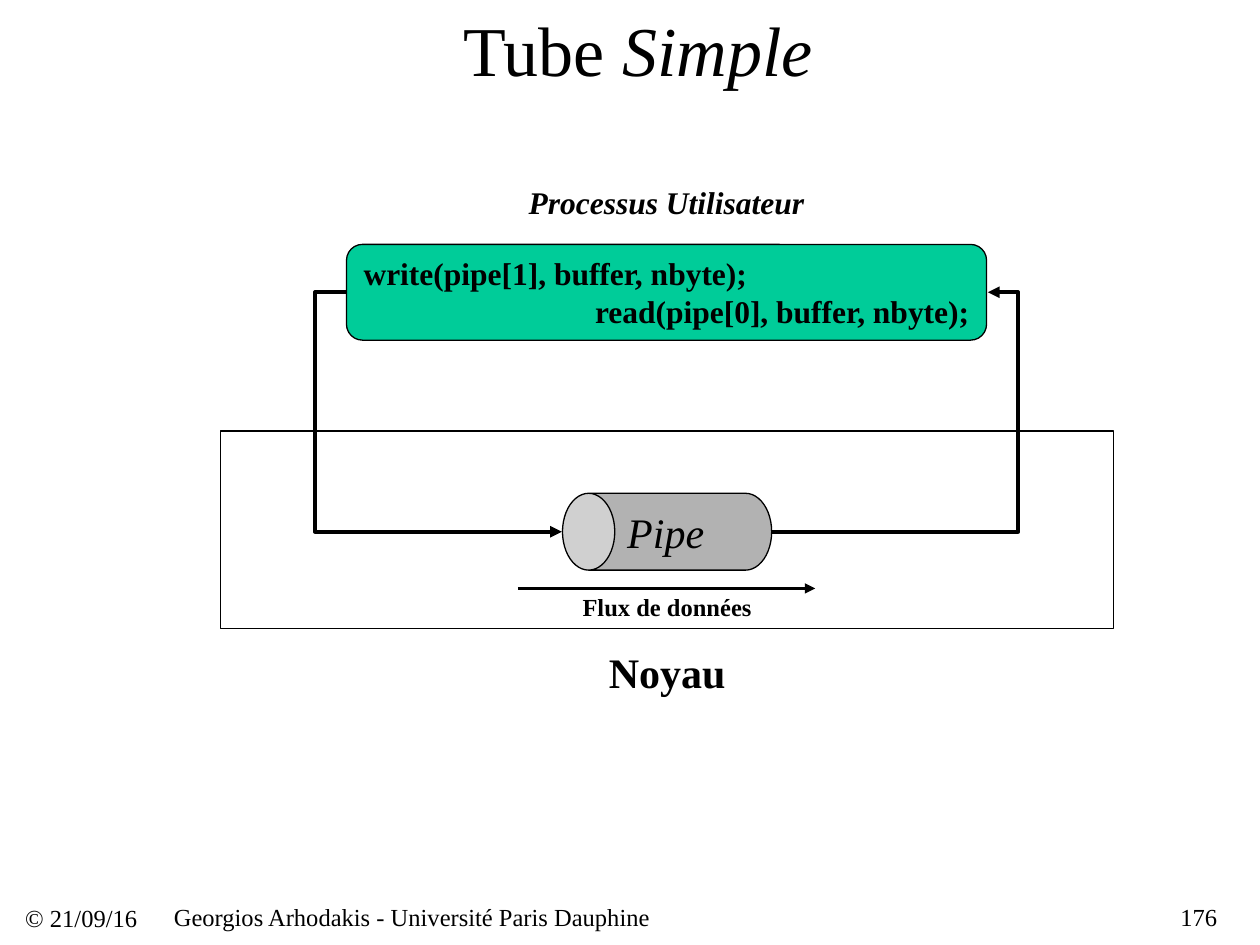
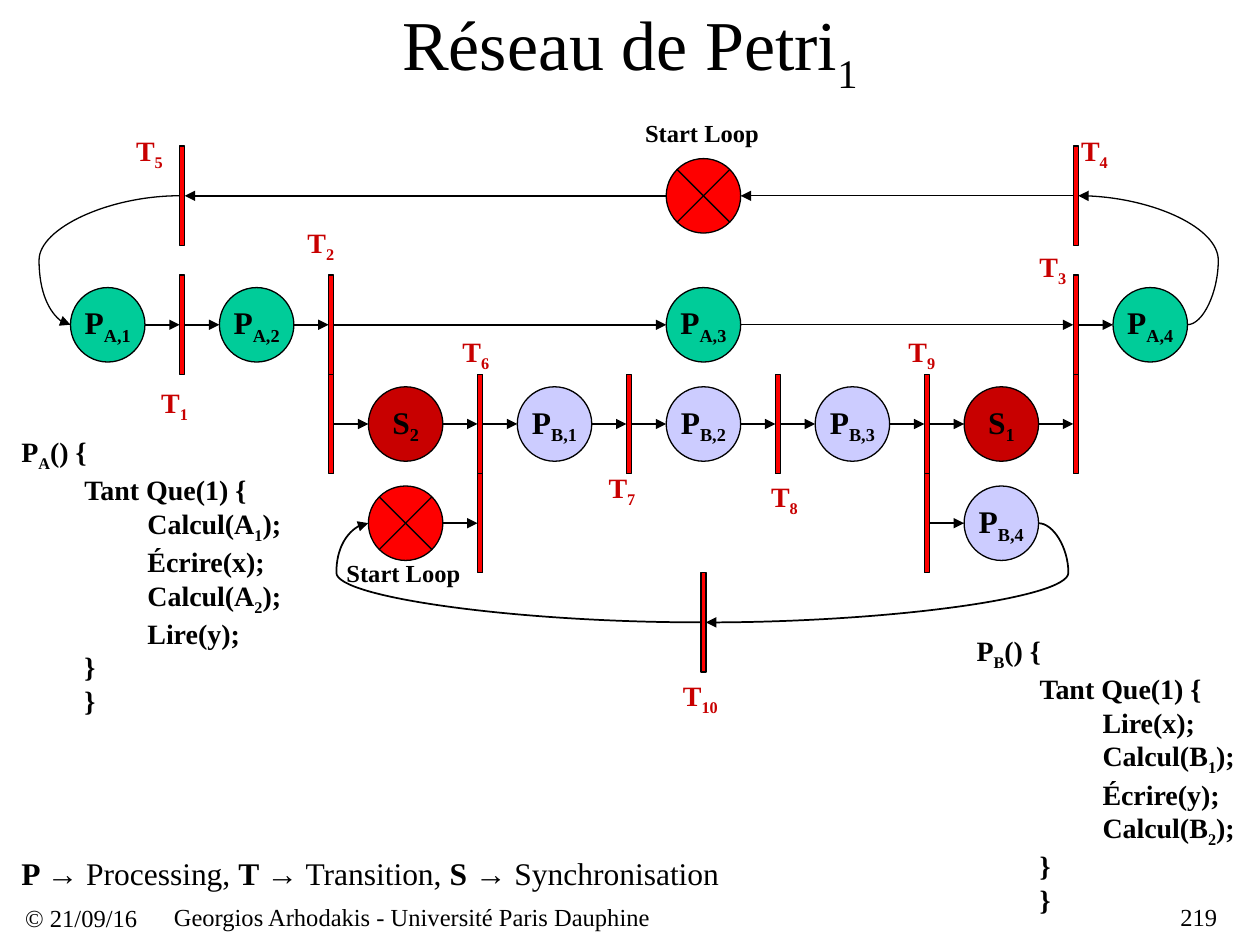
"""Build two slides on interprocess pipes and Petri nets."""
from typing import NamedTuple, Optional

from lxml.etree import SubElement
from pptx import Presentation
from pptx.dml.color import RGBColor
from pptx.enum.shapes import MSO_CONNECTOR, MSO_SHAPE
from pptx.enum.text import MSO_ANCHOR, MSO_AUTO_SIZE, PP_ALIGN
from pptx.oxml.ns import qn
from pptx.util import Inches, Pt

BLACK = RGBColor(0x00, 0x00, 0x00)
GREEN = RGBColor(0x00, 0xCC, 0x99)
LILAC = RGBColor(0xCC, 0xCC, 0xFF)
GRAY = RGBColor(0xB2, 0xB2, 0xB2)
RED = RGBColor(0xFE, 0x00, 0x00)
DARK_RED = RGBColor(0xC8, 0x00, 0x00)

WIDTH, HEIGHT = Inches(10), Inches(7.5)
FONT = "Times New Roman"
SUBSCRIPT = {"baseline": "-25000"}
ITALIC = {"i": "1"}
PLAIN = {"b": "0"}
FOOTER = "Georgios Arhodakis - Université Paris Dauphine"

FIRST_COLUMN, COLUMN = 8.55, 5.91
FIRST_ROW, ROW = 34.37, 10.5
LOOP_ROW, RETURN_ROW = -1.3, 3
NODE_WIDTH, NODE_HEIGHT = 5.91, 7.88
BAR_WIDTH = 0.4
LEFT, RIGHT = -1, 1


class Box(NamedTuple):
    """A rectangle in percent of the slide's size."""
    left: float
    top: float
    width: float
    height: float

    def lengths(self) -> tuple:
        """Return left, top, width and height as slide lengths."""
        return (across(self.left), down(self.top),
                across(self.width), down(self.height))


class Line(NamedTuple):
    """One paragraph, where bars switch to the alternate format and back."""
    text: str
    align: PP_ALIGN = PP_ALIGN.LEFT
    level: int = 0


class Style(NamedTuple):
    """Text format, with the attributes of alternate runs."""
    size: float
    bold: bool = False
    italic: bool = False
    color: RGBColor = BLACK
    alternate: dict = SUBSCRIPT


class Node(NamedTuple):
    """A round place of the net at a grid column and row."""
    text: str
    column: int
    row: float
    fill: RGBColor


class Bar(NamedTuple):
    """A transition bar at a grid column and row."""
    column: int
    row: float


class Edge(NamedTuple):
    """The left or right side of a place or bar."""
    column: int
    row: float
    side: int


class Loop(NamedTuple):
    """A curved return arrow that swings out to a horizontal position."""
    start: Edge
    end: Edge
    via: float
    weight: float


TITLE_STYLE = Style(40, alternate=SUBSCRIPT)
FOOTER_STYLE = Style(14)
NODE_STYLE = Style(18, bold=True)
CODE_STYLE = Style(16, bold=True)
CAPTION_STYLE = Style(14, bold=True)
TRANSITION_STYLE = Style(16, bold=True, color=DARK_RED)

NODES = [
    *(Node(f"P|A,{i}", column, 0, GREEN)
      for i, column in enumerate((0, 2, 8, 14), 1)),
    *(Node(f"P|B,{i}", column, 1, LILAC)
      for i, column in enumerate((6, 8, 10), 1)),
    Node("P|B,4", 12, 2, LILAC),
    Node("S|2", 4, 1, DARK_RED),
    Node("S|1", 12, 1, DARK_RED),
]
STARTS = [Node("", 8, LOOP_ROW, RED), Node("", 4, 2, RED)]
BARS = [
    *(Bar(column, LOOP_ROW) for column in (1, 13)),
    *(Bar(column, 0) for column in (1, 3, 13)),
    *(Bar(column, 1) for column in range(3, 14, 2)),
    *(Bar(column, 2) for column in (5, 11)),
    Bar(8, RETURN_ROW),
]
CHAINS = [
    (LOOP_ROW, (13, 8, 1)),
    (0, (0, 1, 2, 3, 8, 13, 14)),
    (1, tuple(range(3, 14))),
    (2, (4, 5)),
    (2, (11, 12)),
]
THIN_STARTS = {(LOOP_ROW, 13), (0, 8), (1, 5), (1, 12)}
LOOPS = [
    Loop(Edge(14, 0, RIGHT), Edge(13, LOOP_ROW, RIGHT), 96.7, 0.75),
    Loop(Edge(1, LOOP_ROW, LEFT), Edge(0, 0, LEFT), 3.1, 0.75),
    Loop(Edge(8, RETURN_ROW, LEFT), Edge(4, 2, LEFT), 26.7, 1),
    Loop(Edge(12, 2, RIGHT), Edge(8, RETURN_ROW, RIGHT), 84.8, 1),
]
TRANSITION_PLACES = [
    (12.8, 41.07), (24.4, 24.13), (82.5, 26.67), (85.8, 14.4), (10.8, 14.4),
    (36.7, 35.6), (48.3, 50), (61.2, 50.93), (72.1, 35.6), (54.2, 72),
]
PROGRAMS = [
    ("A", ("Calcul(A|1|);", "Écrire(x);", "Calcul(A|2|);", "Lire(y);"),
     Box(1.7, 46.67, 20.8, 28.53)),
    ("B", ("Lire(x);", "Calcul(B|1|);", "Écrire(y);", "Calcul(B|2|);"),
     Box(77.5, 67.73, 20.8, 28.53)),
]


def across(percent: float) -> int:
    """Convert a share of the width to a length."""
    return round(WIDTH * percent / 100)


def down(percent: float) -> int:
    """Convert a share of the height to a length."""
    return round(HEIGHT * percent / 100)


def write(frame, lines: list, style: Style) -> None:
    """Fill a text frame with formatted lines, centred vertically."""
    frame.word_wrap = True
    frame.vertical_anchor = MSO_ANCHOR.MIDDLE
    font_values = {"name": FONT, "size": Pt(style.size),
                   "bold": style.bold, "italic": style.italic}
    for index, line in enumerate(lines):
        paragraph = frame.paragraphs[0] if index == 0 else frame.add_paragraph()
        paragraph.alignment = line.align
        if line.level:
            paragraph.level = line.level
            properties = paragraph._p.get_or_add_pPr()
            properties.set("marL", str(Inches(line.level / 2)))
            properties.set("indent", "0")
        for position, part in enumerate(line.text.split("|")):
            run = paragraph.add_run()
            run.text = part
            for name, value in font_values.items():
                setattr(run.font, name, value)
            run.font.color.rgb = style.color
            if position % 2:
                for name, value in style.alternate.items():
                    run._r.get_or_add_rPr().set(name, value)


def clear_margins(frame) -> None:
    """Remove the insets of a text frame."""
    for side in ("left", "top", "right", "bottom"):
        setattr(frame, f"margin_{side}", 0)


def add_text(slide, box: Box, lines: list, style: Style) -> None:
    """Add a text box without insets."""
    frame = slide.shapes.add_textbox(*box.lengths()).text_frame
    clear_margins(frame)
    write(frame, lines, style)
    frame.auto_size = MSO_AUTO_SIZE.SHAPE_TO_FIT_TEXT


def add_block(slide, preset: MSO_SHAPE, box: Box, fill: Optional[RGBColor]):
    """Add a thinly outlined shape, open if it has no fill."""
    block = slide.shapes.add_shape(preset, *box.lengths())
    block.shadow.inherit = False
    if fill is None:
        block.fill.background()
    else:
        block.fill.solid()
        block.fill.fore_color.rgb = fill
    block.line.color.rgb = BLACK
    block.line.width = Pt(0.75)
    return block


def add_arrow(slide, start: tuple, end: tuple, weight: float,
              kind: MSO_CONNECTOR = MSO_CONNECTOR.STRAIGHT,
              via: Optional[float] = None) -> None:
    """Add an arrow, turning at the horizontal position via if given."""
    arrow = slide.shapes.add_connector(
        kind, across(start[0]), down(start[1]), across(end[0]), down(end[1]))
    arrow.line.color.rgb = BLACK
    arrow.line.width = Pt(weight)
    SubElement(arrow.line._get_or_add_ln(), qn("a:tailEnd"), type="triangle")
    properties = arrow._element.spPr
    SubElement(properties, qn("a:effectLst"))
    if via is not None:
        bend = round(100000 * (via - start[0]) / (end[0] - start[0]))
        guides = properties.find(qn("a:prstGeom")).find(qn("a:avLst"))
        SubElement(guides, qn("a:gd"), name="adj1", fmla=f"val {bend}")


def add_page(deck, title: str, title_style: Style, number: int):
    """Add a slide with its title and footer."""
    slide = deck.slides.add_slide(deck.slide_layouts[5])
    heading = slide.shapes.title
    placement = zip(("left", "top", "width", "height"),
                    Box(7.5, 0, 85, 10.27).lengths())
    for name, value in placement:
        setattr(heading, name, value)
    write(heading.text_frame, [Line(title, PP_ALIGN.CENTER)], title_style)
    heading.text_frame.auto_size = MSO_AUTO_SIZE.NONE
    add_text(slide, Box(2, 94, 10.8, 6.27), [Line("© 21/09/16")], FOOTER_STYLE)
    add_text(slide, Box(13.8, 95.47, 68.3, 3.07), [Line(FOOTER)], FOOTER_STYLE)
    add_text(slide, Box(86.6, 95.47, 10, 3.07),
             [Line(str(number), PP_ALIGN.RIGHT)], FOOTER_STYLE)
    return slide


def center(column: int, row: float) -> tuple:
    """Return the middle of a grid cell."""
    return FIRST_COLUMN + column * COLUMN, FIRST_ROW + row * ROW


def cell(column: int, row: float, width: float, height: float) -> Box:
    """Return a box of the given size around the middle of a grid cell."""
    x, y = center(column, row)
    return Box(x - width / 2, y - height / 2, width, height)


def edge_point(edge: Edge) -> tuple:
    """Return where an arrow meets a place or a bar."""
    x, y = center(edge.column, edge.row)
    is_bar = edge.column % 2 or edge.row == RETURN_ROW
    return x + edge.side * (BAR_WIDTH if is_bar else NODE_WIDTH) / 2, y


def build_pipe(deck) -> None:
    """Draw a process that writes to and reads from a kernel pipe."""
    slide = add_page(deck, " Tube |Simple", Style(40, alternate=ITALIC), 176)
    add_block(slide, MSO_SHAPE.RECTANGLE, Box(17.5, 45.6, 70.9, 20.93), None)
    add_arrow(slide, (41.1, 62.27), (64.7, 62.27), 1.5)
    pipe = add_block(slide, MSO_SHAPE.CAN, Box(49.9, 45.2, 6.1, 22.13), GRAY)
    pipe.rotation = 270
    pipe.adjustments[0] = 0.68
    write(pipe.text_frame, [Line("Pipe", PP_ALIGN.CENTER)],
          Style(24, italic=True))
    pipe.text_frame._txBody.bodyPr.set("vert", "eaVert")
    process = add_block(slide, MSO_SHAPE.FLOWCHART_ALTERNATE_PROCESS,
                        Box(27.5, 25.87, 50.8, 10.13), GREEN)
    write(process.text_frame,
          [Line("write(pipe[1], buffer, nbyte);"),
           Line("read(pipe[0], buffer, nbyte);", PP_ALIGN.RIGHT)], NODE_STYLE)
    for text, box, style in (
            ("Processus Utilisateur", Box(39.1, 18.67, 27.6, 5.33),
             Style(18, bold=True, italic=True)),
            ("Noyau", Box(47.3, 67.73, 11.3, 6.67), Style(24, bold=True)),
            ("Flux de données", Box(45.2, 62, 15.5, 4.4), CAPTION_STYLE)):
        add_text(slide, box, [Line(text, PP_ALIGN.CENTER)], style)
    for start, end, via in (((27.5, 30.93), (44.6, 56.27), 25),
                            ((61.2, 56.27), (78.4, 30.93), 80.8)):
        add_arrow(slide, start, end, 2.25, MSO_CONNECTOR.ELBOW, via)


def build_net(deck) -> None:
    """Draw the Petri net of two synchronised processes."""
    slide = add_page(deck, "Réseau de Petri|1", TITLE_STYLE, 219)
    for node in NODES:
        place = add_block(slide, MSO_SHAPE.FLOWCHART_CONNECTOR,
                          cell(node.column, node.row, NODE_WIDTH, NODE_HEIGHT),
                          node.fill)
        clear_margins(place.text_frame)
        write(place.text_frame, [Line(node.text, PP_ALIGN.CENTER)], NODE_STYLE)
        place.text_frame.word_wrap = False
    for start in STARTS:
        add_block(slide, MSO_SHAPE.FLOWCHART_SUMMING_JUNCTION,
                  cell(start.column, start.row, NODE_WIDTH, NODE_HEIGHT),
                  start.fill)
    for bar in BARS:
        add_block(slide, MSO_SHAPE.FLOWCHART_PROCESS,
                  cell(bar.column, bar.row, BAR_WIDTH, ROW), RED)
    for row, columns in CHAINS:
        for source, target in zip(columns, columns[1:]):
            side = RIGHT if target > source else LEFT
            add_arrow(slide, edge_point(Edge(source, row, side)),
                      edge_point(Edge(target, row, -side)),
                      0.75 if (row, source) in THIN_STARTS else 1)
    for loop in LOOPS:
        add_arrow(slide, edge_point(loop.start), edge_point(loop.end),
                  loop.weight, MSO_CONNECTOR.CURVE, loop.via)
    for name, steps, box in PROGRAMS:
        add_text(slide, box,
                 [Line(f"P|{name}|() {{"), Line("Tant Que(1) {", level=1),
                  *(Line(step, level=2) for step in steps),
                  Line("}", level=1), Line("}", level=1)], CODE_STYLE)
    for left, top in ((51.2, 12.53), (27.5, 59.07)):
        add_text(slide, Box(left, top, 9.3, 3.07), [Line("Start Loop")],
                 CAPTION_STYLE)
    for number, (left, top) in enumerate(TRANSITION_PLACES, 1):
        add_text(slide, Box(left, top, 3, 3.6), [Line(f"T|{number}")],
                 TRANSITION_STYLE)
    add_text(slide, Box(1.7, 90.4, 56.7, 4),
             [Line("P |→ Processing, |T |→ Transition, |S |→ Synchronisation",
                   PP_ALIGN.JUSTIFY)], Style(18, bold=True, alternate=PLAIN))


def main() -> None:
    """Build and save the deck."""
    deck = Presentation()
    deck.slide_width, deck.slide_height = WIDTH, HEIGHT
    build_pipe(deck)
    build_net(deck)
    deck.save("out.pptx")


if __name__ == "__main__":
    main()
